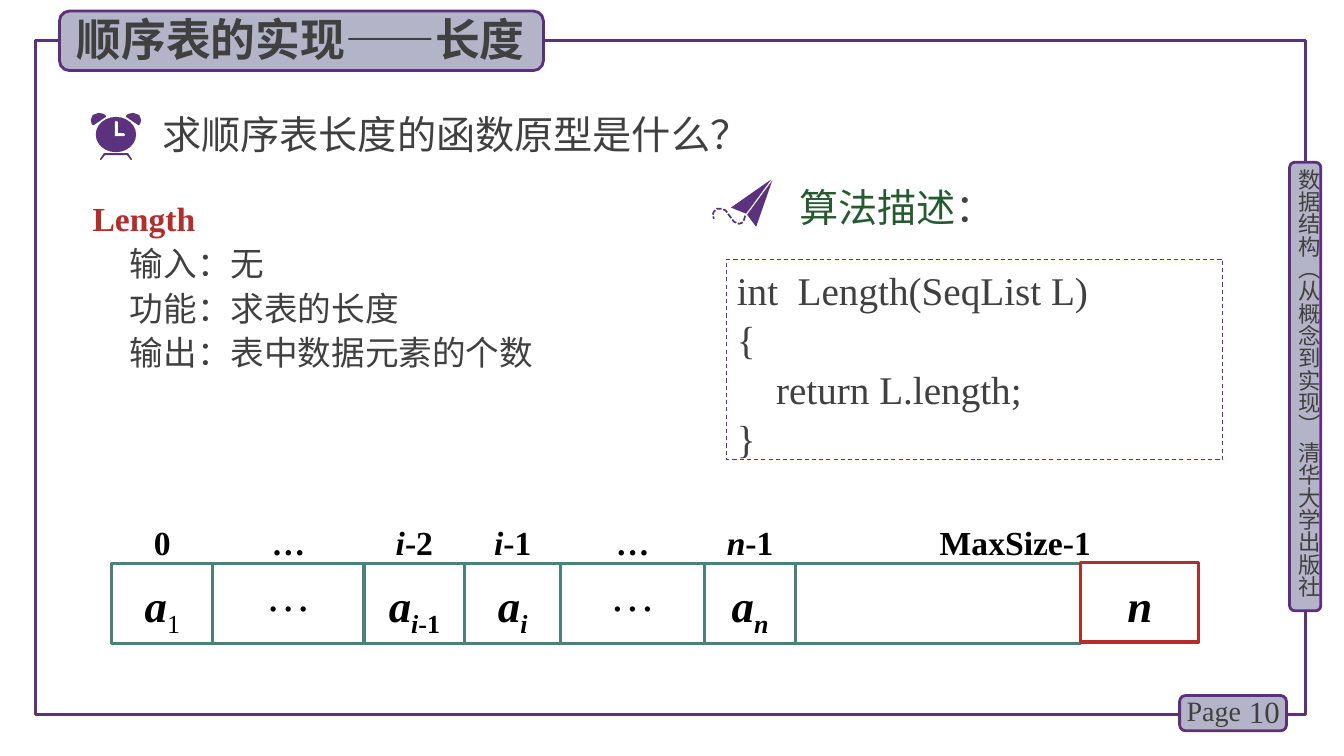
from dataclasses import dataclass

from lxml import etree
from pptx import Presentation
from pptx.dml.color import RGBColor
from pptx.enum import dml, shapes, text
from pptx.oxml import ns
from pptx.util import Inches, Pt


@dataclass(frozen=True)
class Theme:
    purple: str = "5A327D"
    badge_line: str = "5C307D"
    badge_fill: str = "B4B4C8"
    teal: str = "507D7D"
    red: str = "B42D2D"
    green: str = "285A32"
    ink: str = "404040"
    black: str = "000000"
    white: str = "FFFFFF"
    latin: str = "Times New Roman"
    chinese: str = "Noto Sans CJK SC"
    title: int = 32
    heading: int = 28
    body: int = 24
    page_number: int = 22
    page_label: int = 20
    side: int = 16


theme = Theme()
presentation = Presentation()
presentation.slide_width = Inches(13.33)
presentation.slide_height = Inches(7.5)
slide = presentation.slides.add_slide(presentation.slide_layouts[6])


def style_shape(shape, fill=None, line=None, width=2.25):
    shape.shadow.inherit = False
    for paint, color in ((shape.fill, fill), (shape.line.fill, line)):
        if color:
            paint.solid()
            paint.fore_color.rgb = RGBColor.from_string(color)
        else:
            paint.background()
    if line:
        shape.line.width = Pt(width)
    return shape


def write(shape, paragraphs, size, color=theme.ink, latin=theme.latin,
          align=text.PP_ALIGN.LEFT, insets=(0.1, 0.05, 0.1, 0.05)):
    frame = shape.text_frame
    frame.word_wrap = True
    frame.vertical_anchor = text.MSO_ANCHOR.TOP
    frame.margin_left, frame.margin_top, frame.margin_right, frame.margin_bottom = map(Inches, insets)
    for index, pieces in enumerate(paragraphs):
        paragraph = frame.add_paragraph() if index else frame.paragraphs[0]
        paragraph.alignment = align
        for content, style, *own_color in pieces:
            run = paragraph.add_run()
            run.text = content
            run.font.size = Pt(size)
            run.font.name = latin
            run.font.bold = "b" in style
            run.font.italic = "i" in style
            run.font.color.rgb = RGBColor.from_string(own_color[0] if own_color else color)
            properties = run.font._element
            etree.SubElement(properties, ns.qn("a:ea")).set("typeface", theme.chinese)
            if "s" in style:
                properties.set("baseline", "-25000")
    return frame


frame_box = slide.shapes.add_shape(shapes.MSO_SHAPE.RECTANGLE, Inches(0.35), Inches(0.4), Inches(12.6), Inches(6.69))
style_shape(frame_box, line=theme.purple)

for badge in ((12.79, 1.61, 0.31, 4.45), (11.7, 6.9, 1.06, 0.35), (0.59, 0.11, 4.8, 0.59)):
    shape = slide.shapes.add_shape(shapes.MSO_SHAPE.ROUNDED_RECTANGLE, *map(Inches, badge))
    style_shape(shape, theme.badge_fill, theme.badge_line, 2)

side_label = slide.shapes.add_textbox(Inches(12.85), Inches(1.67), Inches(0.27), Inches(4.49))
side_frame = write(side_label, [[("数据结构（从概念到实现） 清华大学出版社", "")]], theme.side,
                   latin=theme.chinese, insets=(0, 0, 0, 0))
side_frame._txBody.bodyPr.set("vert", "eaVert")

page_number = slide.shapes.add_textbox(Inches(12.2), Inches(6.86), Inches(0.59), Inches(0.4))
number_frame = write(page_number, [[("10", "")]], theme.page_number, align=text.PP_ALIGN.RIGHT)
number_frame.vertical_anchor = text.MSO_ANCHOR.MIDDLE

page_label = slide.shapes.add_textbox(Inches(11.67), Inches(6.83), Inches(0.78), Inches(0.44))
write(page_label, [[("Page", "")]], theme.page_label)

headings = (
    ((0.66, 0.07, 4.83, 0.64), [("顺序表的实现——长度", "b")], theme.title),
    ((1.51, 1.05, 5.98, 0.57), [("求顺序表长度的函数原型是什么？", "")], theme.heading),
    ((7.83, 1.77, 2.88, 0.57), [("算法描述", "", theme.green), ("：", "")], theme.heading),
)
for position, pieces, size in headings:
    heading = slide.shapes.add_textbox(*map(Inches, position))
    write(heading, [pieces], size, latin=theme.chinese)

left_bell = [(92, 124), (91, 123), (90, 119), (92, 114), (98, 112), (103, 113), (105, 115), (105, 116), (93, 124)]
right_bell = [(230 - x, y) for x, y in left_bell]
clock_legs = [(99, 158), (103, 152), (127, 152), (131, 158), (130, 159), (126, 154), (104, 154), (100, 159)]
clock_hands = [(114, 121), (115, 120), (117, 121), (117, 132), (123, 132), (124, 134), (123, 135), (114, 135)]
right_wing = [(766, 179), (750, 225), (741, 213)]
left_wing = [(765, 178), (740, 212), (725, 206)]
trail = [(739, 214), (738, 218), (736, 221), (733, 222), (728, 220), (725, 216), (722, 212),
         (720, 209), (716, 207), (711, 207), (708, 210), (707, 213), (708, 217)]

clock_face = slide.shapes.add_shape(shapes.MSO_SHAPE.OVAL, Inches(0.95), Inches(1.16), Inches(0.4), Inches(0.35))
style_shape(clock_face, theme.purple)
for outline, fill in ((left_bell, theme.purple), (right_bell, theme.purple), (clock_legs, theme.purple),
                      (clock_hands, theme.white), (right_wing, theme.purple), (left_wing, theme.purple),
                      (trail, None)):
    builder = slide.shapes.build_freeform(*outline[0], scale=Inches(0.01))
    builder.add_line_segments(outline[1:], close=fill is not None)
    shape = style_shape(builder.convert_to_shape(), fill, None if fill else theme.purple, 1.25)
    if fill is None:
        shape.line.dash_style = dml.MSO_LINE.SQUARE_DOT

code_box = slide.shapes.add_shape(shapes.MSO_SHAPE.RECTANGLE, Inches(7.21), Inches(2.57), Inches(4.92), Inches(1.99))
style_shape(code_box, line=theme.purple, width=0.75)
code_box.line.dash_style = dml.MSO_LINE.DASH
code_lines = ("int  Length(SeqList L)", "{", "    return L.length;", "}")
code_frame = write(code_box, [[(line, "")] for line in code_lines], theme.heading)
for paragraph in code_frame.paragraphs:
    paragraph.line_spacing = 1.05

interface = slide.shapes.add_textbox(Inches(0.82), Inches(1.87), Inches(6.67), Inches(1.9))
details = ("输入：无", "功能：求表的长度", "输出：表中数据元素的个数")
interface_frame = write(interface, [[("Length", "b", theme.red)]] + [[(detail, "")] for detail in details], theme.body)
for index, paragraph in enumerate(interface_frame.paragraphs):
    paragraph.line_spacing = Pt(32)
    if index:
        paragraph._p.get_or_add_pPr().set("marL", str(Inches(0.37)))

array_top, array_height = 5.59, 0.79
edges = (1.11, 2.11, 3.61, 4.61, 5.56, 6.99, 7.89, 10.72)
array_box = slide.shapes.add_shape(shapes.MSO_SHAPE.RECTANGLE, Inches(edges[0]), Inches(array_top),
                                   Inches(edges[-1] - edges[0]), Inches(array_height))
style_shape(array_box, line=theme.teal)
for edge in edges[1:-1]:
    divider = slide.shapes.add_connector(shapes.MSO_CONNECTOR.STRAIGHT, Inches(edge), Inches(array_top),
                                         Inches(edge), Inches(array_top + array_height))
    divider.line.color.rgb = RGBColor.from_string(theme.teal)
    divider.line.width = Pt(2.25)
    etree.SubElement(divider._element.spPr, ns.qn("a:effectLst"))

cells = (
    ([("0", "b")], [("a", "bi"), ("1", "s")]),
    ([("…", "b")], [("…", "")]),
    ([("i", "bi"), ("-2", "b")], [("a", "bi"), ("i", "bis"), ("-1", "bs")]),
    ([("i", "bi"), ("-1", "b")], [("a", "bi"), ("i", "bis")]),
    ([("…", "b")], [("…", "")]),
    ([("n", "bi"), ("-1", "b")], [("a", "bi"), ("n", "bis")]),
)
for left, right, (index_label, element) in zip(edges, edges[1:], cells):
    element_top = 5.57 if element[0][0] == "…" else 5.68
    for pieces, top, height, size in ((index_label, 5.13, 0.5, theme.body),
                                      (element, element_top, 0.63, theme.title)):
        label = slide.shapes.add_textbox(Inches(left), Inches(top), Inches(right - left), Inches(height))
        write(label, [pieces], size, theme.black, align=text.PP_ALIGN.CENTER, insets=(0, 0.05, 0, 0.05))

last_index = slide.shapes.add_textbox(Inches(8.82), Inches(5.13), Inches(2), Inches(0.5))
write(last_index, [[("MaxSize-1", "b")]], theme.body, theme.black,
      align=text.PP_ALIGN.RIGHT, insets=(0, 0.05, 0, 0.05))

length_box = slide.shapes.add_shape(shapes.MSO_SHAPE.RECTANGLE, Inches(10.72), Inches(5.58), Inches(1.17), Inches(0.79))
style_shape(length_box, line=theme.red)
write(length_box, [[("n", "bi")]], theme.title, theme.black,
      align=text.PP_ALIGN.CENTER, insets=(0, 0.15, 0, 0.05))

presentation.save("out.pptx")
